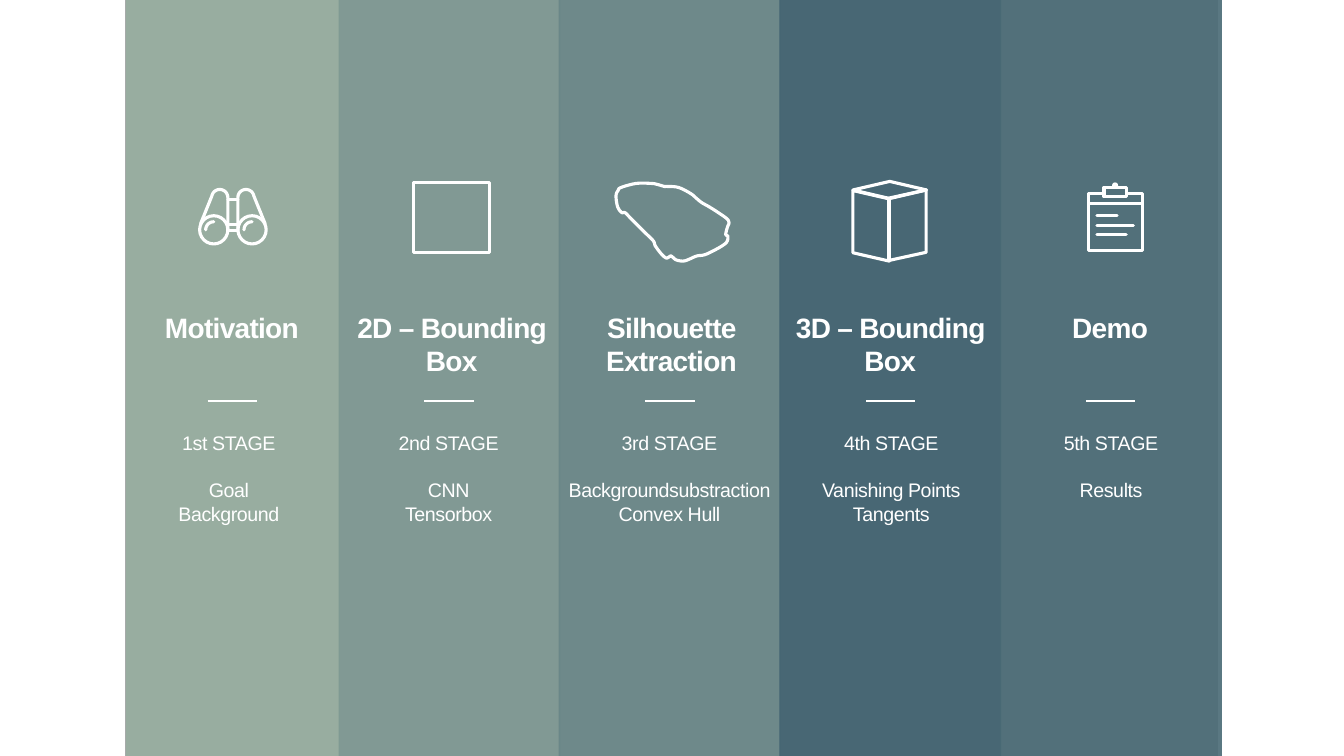
"""Build a five-stage overview slide with coloured columns and outline icons."""
from dataclasses import dataclass
from math import cos, radians, sin

from lxml.etree import SubElement
from pptx import Presentation
from pptx.dml.color import RGBColor
from pptx.enum.shapes import MSO_CONNECTOR, MSO_SHAPE
from pptx.enum.text import MSO_ANCHOR, PP_ALIGN
from pptx.oxml.ns import qn
from pptx.util import Inches, Pt

WHITE = RGBColor(0xFF, 0xFF, 0xFF)
BACKING = RGBColor(0xA6, 0xAA, 0xA9)
SAGE = RGBColor(0x97, 0xAE, 0xA0)
MOSS = RGBColor(0x7D, 0x98, 0x92)
TEAL = RGBColor(0x68, 0x86, 0x87)
NAVY = RGBColor(0x3E, 0x60, 0x6F)
SLATE = RGBColor(0x49, 0x6A, 0x75)
CLIP_FILL = RGBColor(0x52, 0x70, 0x7A)
FONT = "Arial"
STROKE = 2.25

Point = tuple[float, float]


@dataclass(frozen=True)
class Stage:
    left: float
    width: float
    color: RGBColor
    title: str
    title_mid: float
    lines: tuple[str, ...]
    body_mid: float
    rule_mid: float


STAGES = [
    Stage(1.25, 2.12, SAGE, "Motivation", 2.3, ("1st STAGE", "Goal", "Background"), 2.27, 2.3),
    Stage(3.36, 2.2, MOSS, "2D – Bounding Box", 4.48, ("2nd STAGE", "CNN", "Tensorbox"), 4.45, 4.45),
    Stage(5.54, 2.2, TEAL, "Silhouette Extraction", 6.66,
          ("3rd STAGE", "Backgroundsubstraction", "Convex Hull"), 6.64, 6.64),
    Stage(7.73, 2.2, NAVY, "3D – Bounding Box", 8.83,
          ("4th STAGE", "Vanishing Points", "Tangents"), 8.84, 8.83),
    Stage(9.92, 2.2, SLATE, "Demo", 11.01, ("5th STAGE", "Results"), 11.02, 11.01),
]

SILHOUETTE = [
    (6.73, 1.86), (6.85, 1.92), (6.91, 1.97), (6.96, 2.01), (7.03, 2.05), (7.11, 2.1),
    (7.21, 2.17), (7.23, 2.21), (7.22, 2.24), (7.21, 2.27), (7.2, 2.31), (7.2, 2.33),
    (7.22, 2.35), (7.19, 2.42), (7.01, 2.52), (6.91, 2.54), (6.84, 2.57), (6.78, 2.59),
    (6.71, 2.58), (6.67, 2.55), (6.65, 2.54), (6.61, 2.56), (6.56, 2.52), (6.5, 2.44),
    (6.48, 2.39), (6.4, 2.31), (6.25, 2.16), (6.2, 2.11), (6.17, 2.11), (6.14, 2.08),
    (6.12, 2.03), (6.11, 1.94), (6.13, 1.89), (6.16, 1.86), (6.31, 1.82), (6.46, 1.82),
    (6.52, 1.83), (6.59, 1.85), (6.62, 1.85),
]


def add_box(shapes, kind, left: float, top: float, width: float, height: float,
            fill: RGBColor | None = None, stroke: float = 0):
    """Add a preset shape with an optional fill and a white outline."""
    sp = shapes.add_shape(kind, Inches(left), Inches(top), Inches(width), Inches(height))
    sp.shadow.inherit = False
    if fill is None:
        sp.fill.background()
    else:
        sp.fill.solid()
        sp.fill.fore_color.rgb = fill
    if stroke:
        outline(sp, stroke)
    else:
        sp.line.fill.background()
    return sp


def outline(sp, width: float, rounded: bool = True) -> None:
    """Give a shape or connector a white line, by default with round ends."""
    sp.line.color.rgb = WHITE
    sp.line.width = Pt(width)
    if rounded:
        ln = sp._element.spPr.find(qn("a:ln"))
        ln.set("cap", "rnd")
        SubElement(ln, qn("a:round"))


def add_line(shapes, x1: float, x2: float, y: float, width: float = STROKE,
             rounded: bool = True) -> None:
    """Add a horizontal white line."""
    cn = shapes.add_connector(MSO_CONNECTOR.STRAIGHT, Inches(x1), Inches(y), Inches(x2), Inches(y))
    outline(cn, width, rounded)
    SubElement(cn._element.spPr, qn("a:effectLst"))


def add_path(shapes, points: list[Point], close: bool = False) -> None:
    """Add an unfilled white outline through the points."""
    emu = [(Inches(x), Inches(y)) for x, y in points]
    builder = shapes.build_freeform(*emu[0])
    builder.add_line_segments(emu[1:], close=close)
    sp = builder.convert_to_shape()
    sp.shadow.inherit = False
    sp.fill.background()
    outline(sp, STROKE)


def arc(cx: float, cy: float, radius: float, start: int, end: int) -> list[Point]:
    """Return points along a clockwise arc, with angles in degrees."""
    return [(cx + radius * cos(radians(a)), cy + radius * sin(radians(a)))
            for a in range(start, end + 1, 10)]


def smooth(points: list[Point], steps: int = 5) -> list[Point]:
    """Return a closed Catmull-Rom curve through the points."""
    n = len(points)
    curve = []
    for i in range(n):
        quad = [points[(i + k) % n] for k in (-1, 0, 1, 2)]
        for t in (s / steps for s in range(steps)):
            x, y = (0.5 * (2 * b + (c - a) * t + (2 * a - 5 * b + 4 * c - d) * t ** 2
                           + (3 * b - a - 3 * c + d) * t ** 3) for a, b, c, d in zip(*quad))
            curve.append((x, y))
    return curve


def add_text(shapes, lines: tuple[str, ...], mid: float, top: float, width: float, height: float,
             inset: float, size: int, leading: float, tracking: int, bold: bool) -> None:
    """Add centred white text, with a gap after the first of several lines."""
    tb = shapes.add_textbox(Inches(mid - width / 2), Inches(top), Inches(width), Inches(height))
    tf = tb.text_frame
    tf.word_wrap = True
    tf.vertical_anchor = MSO_ANCHOR.TOP
    tf.margin_left = tf.margin_right = tf.margin_top = tf.margin_bottom = Inches(inset)
    tf.text = "\n".join(lines)
    for i, p in enumerate(tf.paragraphs):
        p.alignment = PP_ALIGN.CENTER
        p.line_spacing = Pt(leading)
        if i == 1:
            p.space_before = Pt(leading)
        for r in p.runs:
            r.font.name = FONT
            r.font.size = Pt(size)
            r.font.bold = bold
            r.font.color.rgb = WHITE
            r._r.get_or_add_rPr().set("spc", str(tracking))


def add_binoculars(shapes) -> None:
    """Draw the binoculars icon."""
    axis = 2.31
    for side in (-1, 1):
        lens = axis + side * 0.19
        add_box(shapes, MSO_SHAPE.OVAL, lens - 0.14, 2.14, 0.28, 0.28, stroke=STROKE)
        add_path(shapes, arc(lens, 2.28, 0.08, 180, 270))
        barrel = [(1.99, 2.22), *arc(2.18, 1.96, 0.08, 190, 360), (2.26, 2.28)]
        add_path(shapes, [(axis + side * (axis - x), y) for x, y in barrel])
    for y in (1.98, 2.23, 2.29):
        add_line(shapes, axis - 0.05, axis + 0.05, y)


def add_cube(shapes) -> None:
    """Draw the cuboid icon from two sides and a lid."""
    group = shapes.add_group_shape().shapes
    for left, top, height, skew, flip in ((8.29, 2.06, 0.36, 0.23, False),
                                          (8.65, 2.05, 0.37, 0.22, True)):
        sp = add_box(group, MSO_SHAPE.PARALLELOGRAM, left, top, 0.7, height, stroke=STROKE)
        sp.adjustments[0] = skew
        sp.rotation = 270
        if flip:
            sp._element.spPr.find(qn("a:xfrm")).set("flipV", "1")
    add_box(group, MSO_SHAPE.FLOWCHART_DECISION, 8.46, 1.8, 0.73, 0.17, stroke=STROKE)


def add_clipboard(shapes) -> None:
    """Draw the clipboard icon."""
    add_box(shapes, MSO_SHAPE.RECTANGLE, 10.8, 1.92, 0.53, 0.57, stroke=STROKE)
    add_line(shapes, 10.8, 11.33, 2.02)
    add_box(shapes, MSO_SHAPE.RECTANGLE, 10.95, 1.86, 0.22, 0.09, CLIP_FILL, STROKE)
    add_box(shapes, MSO_SHAPE.OVAL, 11.03, 1.81, 0.06, 0.06, WHITE)
    for i, end in enumerate((11.08, 11.24, 11.17)):
        add_line(shapes, 10.88, end, 2.14 + i * 0.095)


def main() -> None:
    """Build and save the slide."""
    prs = Presentation()
    prs.slide_width, prs.slide_height = Inches(13.33), Inches(7.5)
    shapes = prs.slides.add_slide(prs.slide_layouts[6]).shapes
    add_box(shapes, MSO_SHAPE.RECTANGLE, 1.24, 0, 10.84, 7.5, BACKING)
    for stage in STAGES:
        sp = add_box(shapes, MSO_SHAPE.RECTANGLE, stage.left, 0, stage.width, 7.5, stage.color)
        color = sp._element.spPr.find(qn("a:solidFill"))[0]
        SubElement(color, qn("a:alpha")).set("val", "90000")
    for stage in STAGES:
        add_text(shapes, (stage.title,), stage.title_mid, 3.09, 2.16, 0.67, 0, 20, 23.6, -50, True)
        add_text(shapes, stage.lines, stage.body_mid, 4.21, 2.2, 1.3, 0.06, 14, 17, -30, False)
        add_line(shapes, stage.rule_mid - 0.24, stage.rule_mid + 0.25, 3.98, 1.5, False)
    add_binoculars(shapes)
    add_box(shapes, MSO_SHAPE.RECTANGLE, 4.1, 1.81, 0.76, 0.7, stroke=STROKE)
    add_path(shapes, smooth(SILHOUETTE), close=True)
    add_cube(shapes)
    add_clipboard(shapes)
    prs.save("out.pptx")


if __name__ == "__main__":
    main()
